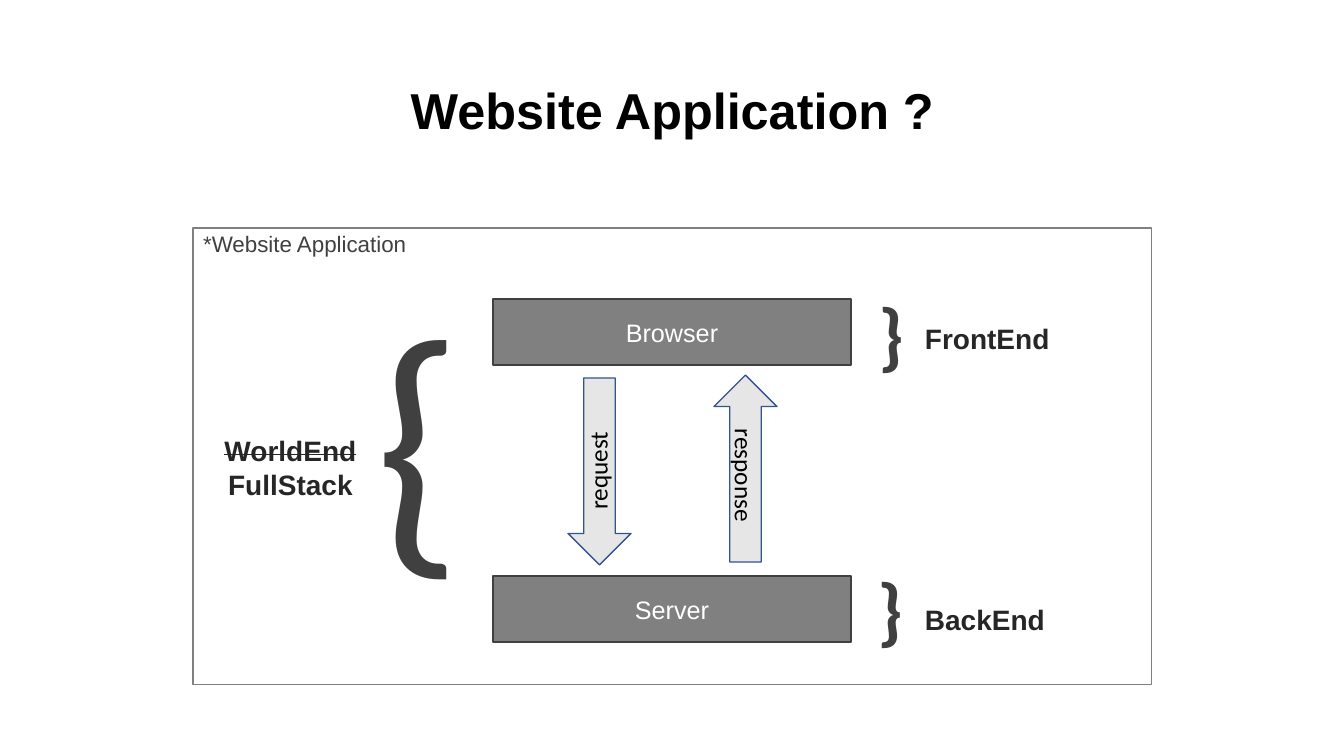
import pptx
import pptx.dml.color
import pptx.enum.shapes
import pptx.enum.text
import pptx.oxml.ns
import pptx.util
from lxml import etree

EMU_PER_PX = 12192000 / 1344
SHAPES = pptx.enum.shapes.MSO_SHAPE
ALIGN = pptx.enum.text.PP_ALIGN
ANCHOR = pptx.enum.text.MSO_ANCHOR
AUTO_SIZE = pptx.enum.text.MSO_AUTO_SIZE

DARK = "404040"
LABEL = "262626"
GRAY = "808080"


def px(length):
    return pptx.util.Emu(round(length * EMU_PER_PX))


def color(hex_string):
    return pptx.dml.color.RGBColor.from_string(hex_string)


def place(shape, left, top, width, height):
    shape.left, shape.top = px(left), px(top)
    shape.width, shape.height = px(width), px(height)


def write(paragraph, text, size=18, font="Arial", ink="000000", bold=False,
          strike=False, align=ALIGN.LEFT, spacing=None):
    paragraph.alignment = align
    paragraph.space_before = pptx.util.Pt(0)
    if spacing:
        paragraph.line_spacing = spacing
    run = paragraph.add_run()
    run.text = text
    run.font.size = pptx.util.Pt(size)
    run.font.name = font
    run.font.bold = bold
    run.font.color.rgb = color(ink)
    if strike:
        run._r.get_or_add_rPr().set("strike", "sngStrike")


def remove_bullet(paragraph):
    properties = paragraph._p.get_or_add_pPr()
    properties.set("marL", "0")
    properties.set("indent", "0")
    etree.SubElement(properties, pptx.oxml.ns.qn("a:buNone"))


def add_block(slide, kind, box, fill, line, rotation=0):
    block = slide.shapes.add_shape(kind, *map(px, box))
    block.shadow.inherit = False
    block.fill.solid()
    block.fill.fore_color.rgb = color(fill)
    block.line.color.rgb = color(line)
    block.line.width = pptx.util.Pt(1)
    block.rotation = rotation
    return block


def add_tier(slide, name, top):
    tier = add_block(slide, SHAPES.RECTANGLE, (493, top, 358, 66), GRAY, DARK)
    tier.text_frame.vertical_anchor = ANCHOR.MIDDLE
    write(tier.text_frame.paragraphs[0], name, ink="FFFFFF", align=ALIGN.CENTER)


def add_label(slide, text, box, rotation=0, anchor=ANCHOR.TOP, **style):
    label = slide.shapes.add_textbox(*map(px, box))
    label.rotation = rotation
    frame = label.text_frame
    frame.word_wrap = False
    frame.auto_size = AUTO_SIZE.SHAPE_TO_FIT_TEXT
    frame.vertical_anchor = anchor
    write(frame.paragraphs[0], text, **style)
    return frame


def add_arrow(slide, text, arrow_box, arrow_rotation, text_box, text_rotation):
    add_block(slide, SHAPES.DOWN_ARROW, arrow_box, "E7E6E6", "325491", arrow_rotation)
    add_label(slide, text, text_box, text_rotation, font="Calibri")


def main():
    deck = pptx.Presentation()
    deck.slide_width, deck.slide_height = px(1344), px(756)
    slide = deck.slides.add_slide(deck.slide_layouts[1])

    # Title
    title = slide.shapes.title
    place(title, 93, 40, 1159, 146)
    title.text_frame.vertical_anchor = ANCHOR.MIDDLE
    write(title.text_frame.paragraphs[0], "Website Application ?", size=36,
          bold=True, align=ALIGN.CENTER, spacing=0.9)

    # Framed application area
    application = slide.placeholders[1]
    place(application, 193, 228, 959, 457)
    application.line.color.rgb = color(GRAY)
    application.line.width = pptx.util.Pt(0.75)
    caption = application.text_frame.paragraphs[0]
    remove_bullet(caption)
    write(caption, "*Website Application", size=16, ink=DARK, spacing=0.9)

    # Tiers and the traffic between them
    add_tier(slide, "Browser", 299)
    add_tier(slide, "Server", 576)
    add_arrow(slide, "request", (568, 378, 63, 187), 0, (548, 450, 99, 40), 270)
    add_arrow(slide, "response", (714, 375, 63, 187), 180, (688, 456, 114, 40), 90)

    # Braces and roles on the right
    brace = dict(font="Calibri", ink=DARK)
    role = dict(size=20, ink=LABEL, bold=True)
    add_label(slide, "}", (869, 281, 46, 102), anchor=ANCHOR.MIDDLE,
              size=54, bold=True, **brace)
    add_label(slide, "}", (868, 557, 46, 102), size=54, bold=True, **brace)
    add_label(slide, "FrontEnd", (915, 317, 146, 44), **role)
    add_label(slide, "BackEnd", (915, 598, 141, 44), **role)

    # Brace and role on the left
    add_label(slide, "}", (363, 316, 109, 348), rotation=180,
              anchor=ANCHOR.MIDDLE, size=199, **brace)
    full_stack = add_label(slide, "WorldEnd", (214, 429, 153, 78), strike=True,
                           align=ALIGN.CENTER, **role)
    write(full_stack.add_paragraph(), "FullStack", align=ALIGN.CENTER, **role)

    deck.save("out.pptx")


if __name__ == "__main__":
    main()
